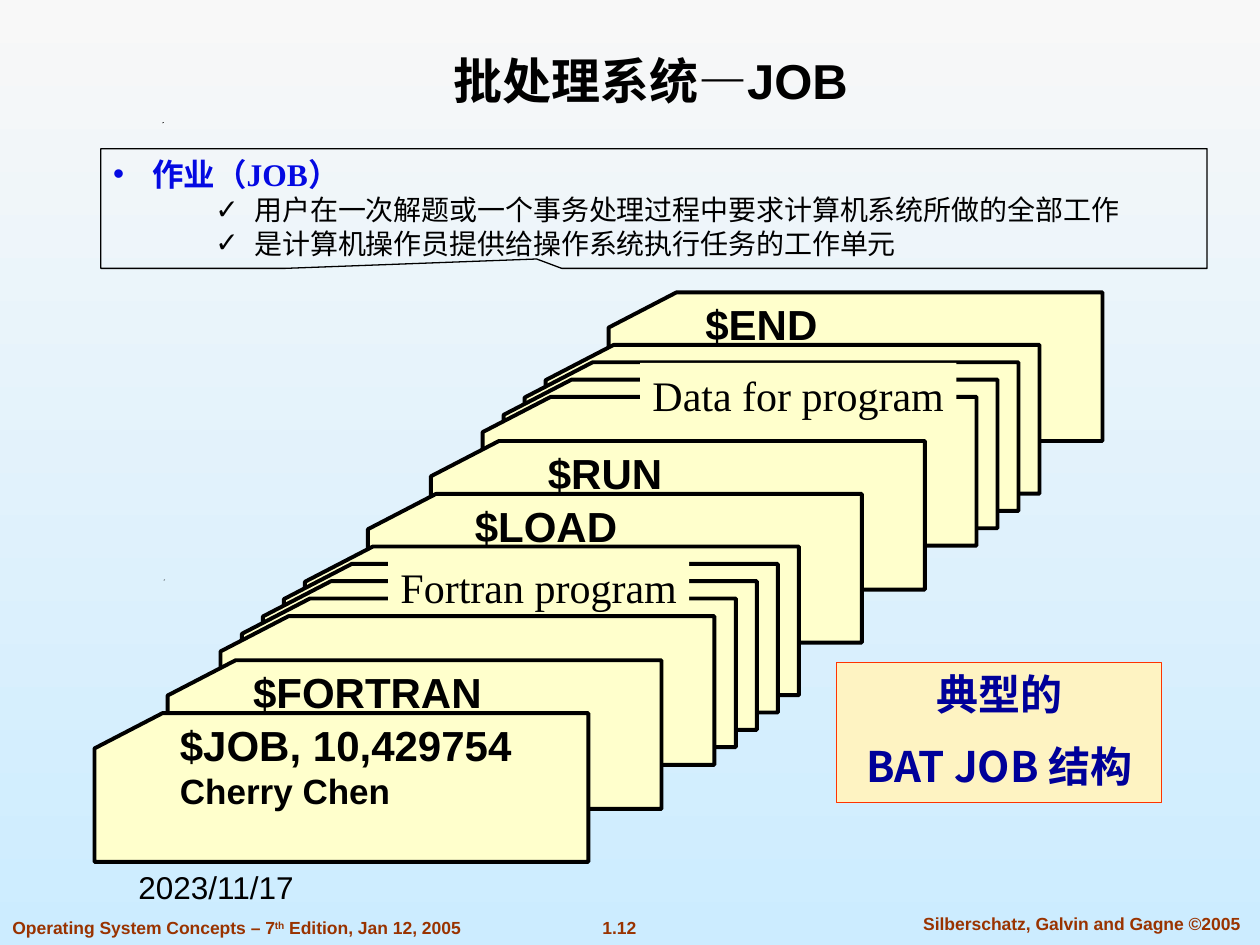
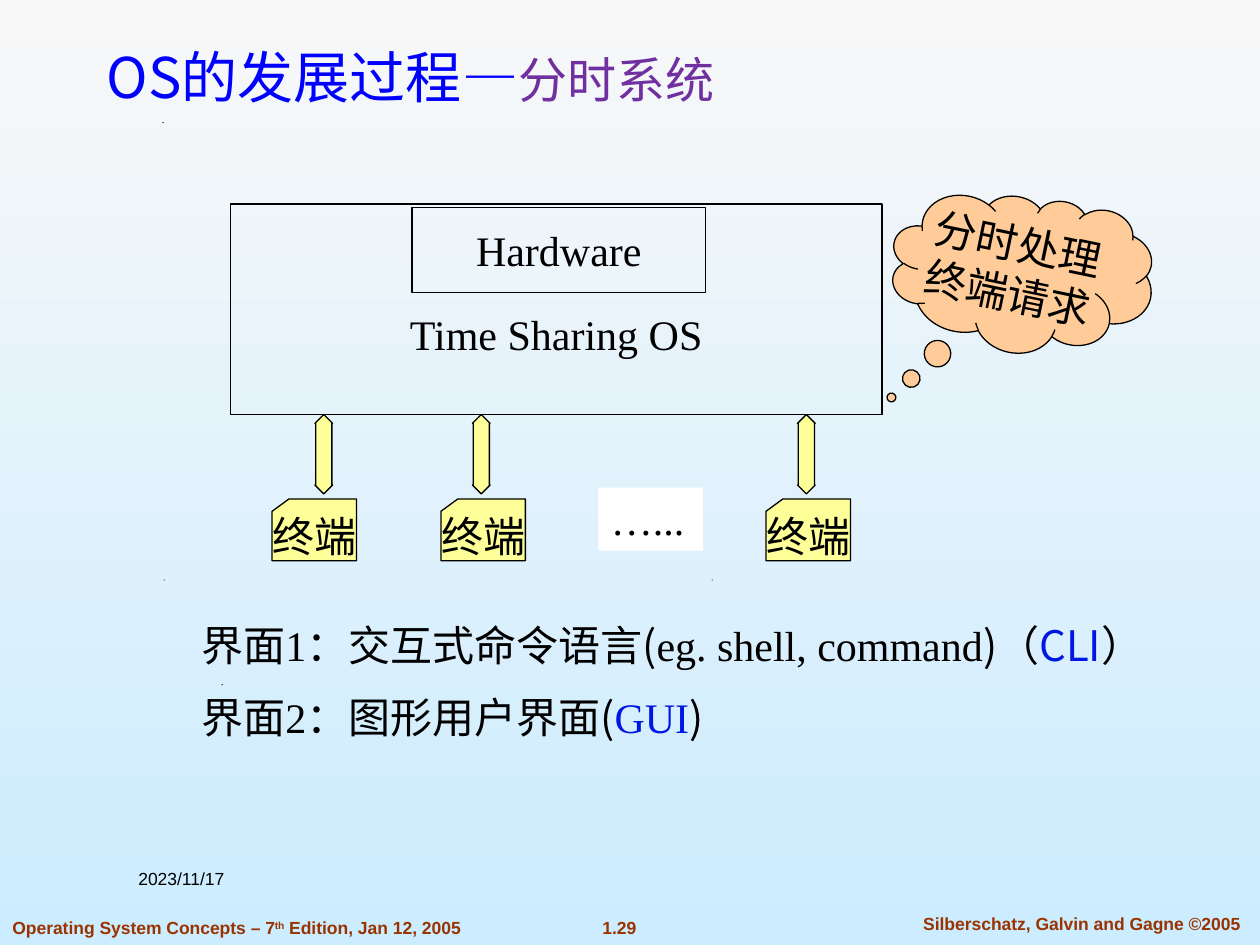
from dataclasses import dataclass

import pptx
import pptx.dml.color
import pptx.enum.shapes
import pptx.enum.text
import pptx.oxml
import pptx.oxml.ns
import pptx.util
from lxml import etree

Inches = pptx.util.Inches
Pt = pptx.util.Pt
SHAPE = pptx.enum.shapes.MSO_SHAPE
ANCHOR = pptx.enum.text.MSO_ANCHOR
ALIGN = pptx.enum.text.PP_ALIGN


@dataclass(frozen=True)
class Theme:
    sans: str = "Arial"
    serif: str = "Times New Roman"
    chinese: str = "Noto Sans CJK SC"
    ink: str = "000000"
    sky_top: str = "F8F8F8"
    sky_bottom: str = "CCECFF"
    footer: str = "993300"
    card: str = "FFFFCC"
    terminal: str = "FFFF99"
    cloud: str = "FFCC99"
    caption: str = "FEF3C2"
    caption_line: str = "FF3300"
    caption_text: str = "000099"
    white: str = "FFFFFF"
    title_blue: str = "0000FF"
    title_purple: str = "7030A0"
    job_blue: str = "0409E2"
    interface_blue: str = "0016E2"
    footer_size: int = 10
    bullet_size: int = 16
    bullet_heading: int = 18
    card_name: int = 20
    body: int = 24
    title: int = 28
    title_large: int = 32
    thin: float = 0.75
    thick: float = 2.25


THEME = Theme()
TITLE_BOX = (0.75, 0.25, 8.83, 0.67)
DATE_BOX = (1, 6.84, 2.17, 0.5)
SPECKS = [(1.76, 5.43), (1.3, 4.6), (5.65, 4.6), (1.29, 0.97)]
CARD_OUTLINE = [(0, 0.28), (0.54, 0), (3.92, 0), (3.92, 1.18), (0, 1.18)]
SHEETS = 4
SHEET_STEP = (1 / 6, 0.1375)


def color(value):
    return pptx.dml.color.RGBColor.from_string(value)


def write(shape, paragraphs, size=THEME.body, font=THEME.serif, ink=THEME.ink,
          bold=False, align=ALIGN.LEFT, anchor=ANCHOR.TOP, wrap=True, before=0):
    frame = shape.text_frame
    frame.word_wrap = wrap
    frame.vertical_anchor = anchor
    for index, runs in enumerate(paragraphs):
        paragraph = frame.add_paragraph() if index else frame.paragraphs[0]
        paragraph.alignment = align
        paragraph.space_before = Pt(before)
        for piece in [runs] if isinstance(runs, str) else runs:
            text, changes = (piece, {}) if isinstance(piece, str) else piece
            run = paragraph.add_run()
            run.text = text
            run.font.name = changes.get("font", font)
            run.font.size = Pt(changes.get("size", size))
            run.font.bold = changes.get("bold", bold)
            run.font.color.rgb = color(changes.get("ink", ink))
            properties = run._r.get_or_add_rPr()
            east_asian = etree.SubElement(properties, pptx.oxml.ns.qn("a:ea"))
            east_asian.set("typeface", THEME.chinese)
            if "baseline" in changes:
                properties.set("baseline", str(changes["baseline"]))
    return shape


def add_text(slide, box, paragraphs, **text_format):
    shape = slide.shapes.add_textbox(*map(Inches, box))
    return write(shape, paragraphs, **text_format)


def paint(shape, fill=None, line=None, width=THEME.thin):
    shape.shadow.inherit = False
    if fill:
        shape.fill.solid()
        shape.fill.fore_color.rgb = color(fill)
    else:
        shape.fill.background()
    if line:
        shape.line.color.rgb = color(line)
        shape.line.width = Pt(width)
    else:
        shape.line.fill.background()
    return shape


def add_shape(slide, kind, box, fill=None, line=THEME.ink, adjustments=()):
    shape = slide.shapes.add_shape(kind, *map(Inches, box))
    for index, value in enumerate(adjustments):
        shape.adjustments[index] = value
    return paint(shape, fill, line)


def add_outline(slide, left, top, points, fill, line=None, width=THEME.thin):
    corners = [(Inches(left + x), Inches(top + y)) for x, y in points]
    builder = slide.shapes.build_freeform(*corners[0])
    builder.add_line_segments(corners[1:], close=True)
    return paint(builder.convert_to_shape(), fill, line, width)


def set_bullet(paragraph, character, indent):
    properties = paragraph._p.get_or_add_pPr()
    properties.set("marL", str(Inches(indent)))
    properties.set("indent", str(Inches(-0.31)))
    bullet_font = etree.SubElement(properties, pptx.oxml.ns.qn("a:buFont"))
    bullet_font.set("typeface", THEME.sans)
    bullet = etree.SubElement(properties, pptx.oxml.ns.qn("a:buChar"))
    bullet.set("char", character)


def add_base_slide(presentation, number, date_size):
    slide = presentation.slides.add_slide(presentation.slide_layouts[6])
    background = slide.background.fill
    background.gradient()
    background.gradient_angle = 270
    for stop, shade in zip(background.gradient_stops, (THEME.sky_top, THEME.sky_bottom)):
        stop.color.rgb = color(shade)
    for left, top in SPECKS:
        add_outline(slide, left, top, [(0, 0.01), (0.01, 0), (0, 0)], THEME.ink)
    footer = dict(size=THEME.footer_size, font=THEME.sans, ink=THEME.footer, bold=True)
    add_text(slide, (4.67, 7.23, 0.49, 0.27), [number], align=ALIGN.CENTER, wrap=False, **footer)
    add_text(slide, (7.1, 7.2, 2.97, 0.27), ["Silberschatz, Galvin and Gagne ©2005"],
             align=ALIGN.CENTER, **footer)
    add_text(slide, (0, 7.23, 3.77, 0.27),
             [["Operating System Concepts – 7", ("th", {"baseline": 30000}),
               " Edition, Jan 12, 2005"]], wrap=False, **footer)
    add_text(slide, DATE_BOX, ["2023/11/17"], size=date_size, font=THEME.sans)
    return slide


def add_card(slide, left, top):
    add_outline(slide, left, top, CARD_OUTLINE, THEME.card, THEME.ink, THEME.thick)


def add_command_card(slide, left, top, indent, width, lines):
    add_card(slide, left, top)
    add_text(slide, (left + indent, top, width, 0.52), lines,
             font=THEME.sans, bold=True, wrap=False)


def add_card_stack(slide, left, top, label_box, label):
    step_x, step_y = SHEET_STEP
    for sheet in reversed(range(SHEETS)):
        add_card(slide, left + sheet * step_x, top - sheet * step_y)
    x, y, width, height = label_box
    plate = add_shape(slide, SHAPE.RECTANGLE, (left + x, top + y, width, height), THEME.card, None)
    write(plate, [label], wrap=False)


def add_job_deck(slide, left, top):
    add_command_card(slide, left + 4.08, top - 3.34, 0.67, 1.09, ["$END"])
    add_card_stack(slide, left + 3.08, top - 2.51, (1.25, -0.27, 2.51, 0.52), "Data for program")
    add_command_card(slide, left + 2.67, top - 2.16, 0.83, 1.11, ["$RUN"])
    add_command_card(slide, left + 2.17, top - 1.74, 0.75, 1.33, ["$LOAD"])
    add_card_stack(slide, left + 1.17, top - 0.91, (1.16, -0.34, 2.39, 0.52), "Fortran program")
    add_card(slide, left + 1, top - 0.77)
    add_command_card(slide, left + 0.58, top - 0.42, 0.58, 2.08, ["$FORTRAN"])
    add_command_card(slide, left, top, 0.58, 2.9,
                     ["$JOB, 10,429754", [("Cherry Chen", {"size": THEME.card_name})]])


def add_job_definition(slide, box):
    callout = add_shape(slide, SHAPE.RECTANGULAR_CALLOUT, box, adjustments=(-0.106, 0.422))
    heading = {"size": THEME.bullet_heading, "bold": True, "ink": THEME.job_blue}
    write(callout, [[("作业（JOB）", heading)],
                    "用户在一次解题或一个事务处理过程中要求计算机系统所做的全部工作",
                    "是计算机操作员提供给操作系统执行任务的工作单元"], size=THEME.bullet_size)
    first, *details = callout.text_frame.paragraphs
    set_bullet(first, "•", 0.31)
    for paragraph in details:
        set_bullet(paragraph, "✓", 1.12)


def build_batch_slide(presentation):
    slide = add_base_slide(presentation, "1.12", 18)
    add_text(slide, TITLE_BOX, ["批处理系统—JOB"], size=THEME.title, font=THEME.sans,
             bold=True, align=ALIGN.CENTER, anchor=ANCHOR.BOTTOM)
    add_job_deck(slide, 0.75, 5.66)
    caption = add_shape(slide, SHAPE.RECTANGLE, (6.64, 5.26, 2.58, 1.11),
                        THEME.caption, THEME.caption_line)
    write(caption, ["典型的", "BAT JOB 结构"], font=THEME.chinese, ink=THEME.caption_text,
          bold=True, align=ALIGN.CENTER, before=12)
    add_job_definition(slide, (0.8, 1.18, 8.78, 0.95))


def add_time_sharing_diagram(slide, left, top):
    centered = dict(align=ALIGN.CENTER, anchor=ANCHOR.MIDDLE, wrap=False)
    system = add_shape(slide, SHAPE.RECTANGLE, (left, top, 5.17, 1.67))
    write(system, ["Time Sharing OS"], **centered)
    system.text_frame.margin_top = Inches(0.43)
    hardware = add_shape(slide, SHAPE.RECTANGLE, (left + 1.44, top + 0.03, 2.33, 0.67))
    write(hardware, ["Hardware"], **centered)
    for offset in (0.33, 1.67, 4.25):
        terminal = add_shape(slide, SHAPE.FLOWCHART_CARD,
                             (left + offset, top + 2.34, 0.67, 0.49), THEME.terminal)
        write(terminal, ["终端"], **centered)
    for offset in (0.67, 1.92, 4.5):
        add_shape(slide, SHAPE.UP_DOWN_ARROW, (left + offset, top + 1.67, 0.14, 0.63),
                  THEME.terminal, adjustments=(0.5, 0.917))
    more = add_shape(slide, SHAPE.RECTANGLE, (left + 2.92, top + 2.25, 0.83, 0.5),
                     THEME.white, None)
    write(more, ["…..."], before=12)
    cloud = add_shape(slide, SHAPE.CLOUD_CALLOUT, (left + 5.24, top - 0.08, 2.08, 1.26),
                      THEME.cloud, adjustments=(-0.391, 0.932))
    cloud.rotation = 11.7
    write(cloud, ["分时处理", "终端请求"], **centered)


def add_interfaces(slide, box):
    plain = {"font": THEME.chinese}
    add_text(slide, box, [
        ["界面1：交互式命令语言", ("(", plain), "eg. shell, command", (")（", plain),
         ("CLI", {"font": THEME.chinese, "ink": THEME.interface_blue}), ("）", plain)],
        ["界面2：图形用户界面", ("(", plain),
         ("GUI", {"ink": THEME.interface_blue}), (")", plain)],
    ], before=12)


def build_time_sharing_slide(presentation):
    slide = add_base_slide(presentation, "1.29", 10)
    add_text(slide, TITLE_BOX,
             [[("OS的发展过程", {"font": THEME.chinese}), "—",
               ("分时系统", {"size": THEME.title, "ink": THEME.title_purple})]],
             size=THEME.title_large, font=THEME.sans, ink=THEME.title_blue, anchor=ANCHOR.BOTTOM)
    add_time_sharing_diagram(slide, 1.83, 1.62)
    add_interfaces(slide, (1.5, 4.87, 8.08, 1.11))


def main():
    presentation = pptx.Presentation()
    presentation.slide_width = Inches(10)
    presentation.slide_height = Inches(7.5)
    build_batch_slide(presentation)
    build_time_sharing_slide(presentation)
    presentation.save("out.pptx")


if __name__ == "__main__":
    main()
